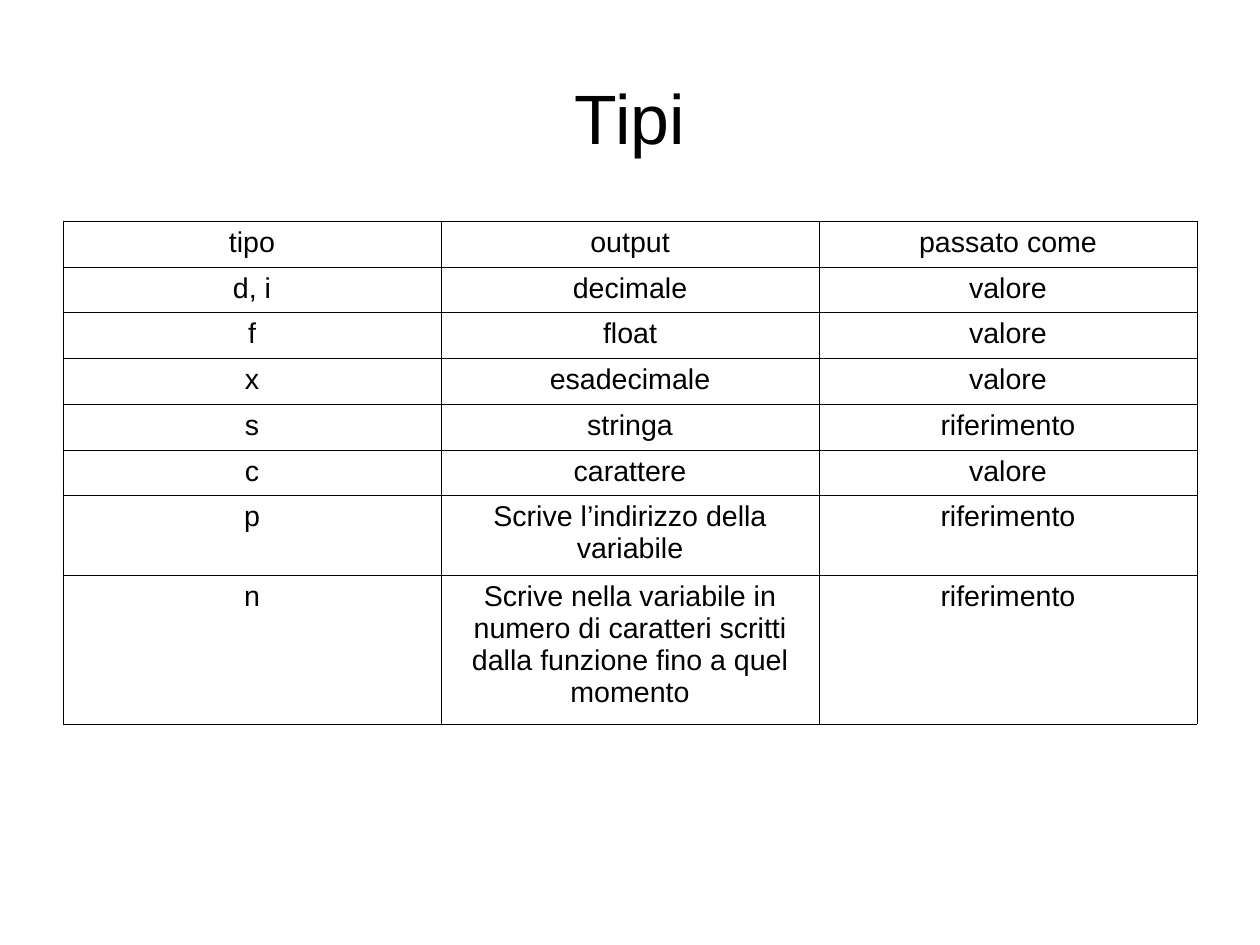
from itertools import pairwise

from lxml import etree
from pptx import Presentation
from pptx.dml.color import RGBColor
from pptx.enum.text import MSO_ANCHOR, PP_ALIGN
from pptx.oxml.ns import qn
from pptx.util import Pt

CENTER = PP_ALIGN.CENTER
MIDDLE = MSO_ANCHOR.MIDDLE

TITLE = "Tipi"
ROWS = [
    ("tipo", "output", "passato come"),
    ("d, i", "decimale", "valore"),
    ("f", "float", "valore"),
    ("x", "esadecimale", "valore"),
    ("s", "stringa", "riferimento"),
    ("c", "carattere", "valore"),
    ("p", "Scrive l’indirizzo della variabile", "riferimento"),
    ("n", "Scrive nella variabile in numero di caratteri scritti "
          "dalla funzione fino a quel momento", "riferimento"),
]

FONT = "Arial"
BLACK = "000000"
BORDER_WIDTH = Pt(0.57)
EMU_PER_PX = 8000
SLIDE_WIDTH, SLIDE_HEIGHT = 1260, 945
MARGIN = 63
CONTENT_WIDTH = SLIDE_WIDTH - 2 * MARGIN
TITLE_TOP, TITLE_HEIGHT = 38, 158
ROW_EDGES = [221, 267, 312, 358, 404, 450, 495, 575, 724]


def px(length):
    return length * EMU_PER_PX


def color(hex_string):
    return RGBColor.from_string(hex_string)


def format_paragraph(paragraph, size):
    paragraph.alignment = CENTER
    paragraph.font.name = FONT
    paragraph.font.size = Pt(size)
    paragraph.font.bold = False
    paragraph.font.color.rgb = color(BLACK)


def add_borders(cell):
    """Draw a thin line on all four sides; borders must precede the cell fill."""
    properties = cell._tc.get_or_add_tcPr()
    for position, side in enumerate(("lnL", "lnR", "lnT", "lnB")):
        line = etree.Element(qn(f"a:{side}"), w=str(BORDER_WIDTH))
        fill = etree.SubElement(line, qn("a:solidFill"))
        etree.SubElement(fill, qn("a:srgbClr"), val=BLACK)
        properties.insert(position, line)


def add_title(slide):
    title = slide.shapes.title
    title.left, title.top = px(MARGIN), px(TITLE_TOP)
    title.width, title.height = px(CONTENT_WIDTH), px(TITLE_HEIGHT)
    frame = title.text_frame
    frame.text = TITLE
    frame.vertical_anchor = MIDDLE
    frame.margin_left = frame.margin_right = 0
    frame.margin_top = frame.margin_bottom = 0
    format_paragraph(frame.paragraphs[0], 44)


def add_types_table(slide):
    top, bottom = ROW_EDGES[0], ROW_EDGES[-1]
    table = slide.shapes.add_table(
        len(ROWS), len(ROWS[0]),
        px(MARGIN), px(top), px(CONTENT_WIDTH), px(bottom - top)).table
    table.first_row = table.horz_banding = False
    for row, texts, (upper, lower) in zip(table.rows, ROWS, pairwise(ROW_EDGES)):
        row.height = px(lower - upper)
        for cell, text in zip(row.cells, texts):
            cell.text = text
            cell.fill.background()
            add_borders(cell)
            format_paragraph(cell.text_frame.paragraphs[0], 18)


def main():
    presentation = Presentation()
    presentation.slide_width = px(SLIDE_WIDTH)
    presentation.slide_height = px(SLIDE_HEIGHT)
    slide = presentation.slides.add_slide(presentation.slide_layouts[5])
    add_title(slide)
    add_types_table(slide)
    presentation.save("out.pptx")


if __name__ == "__main__":
    main()
